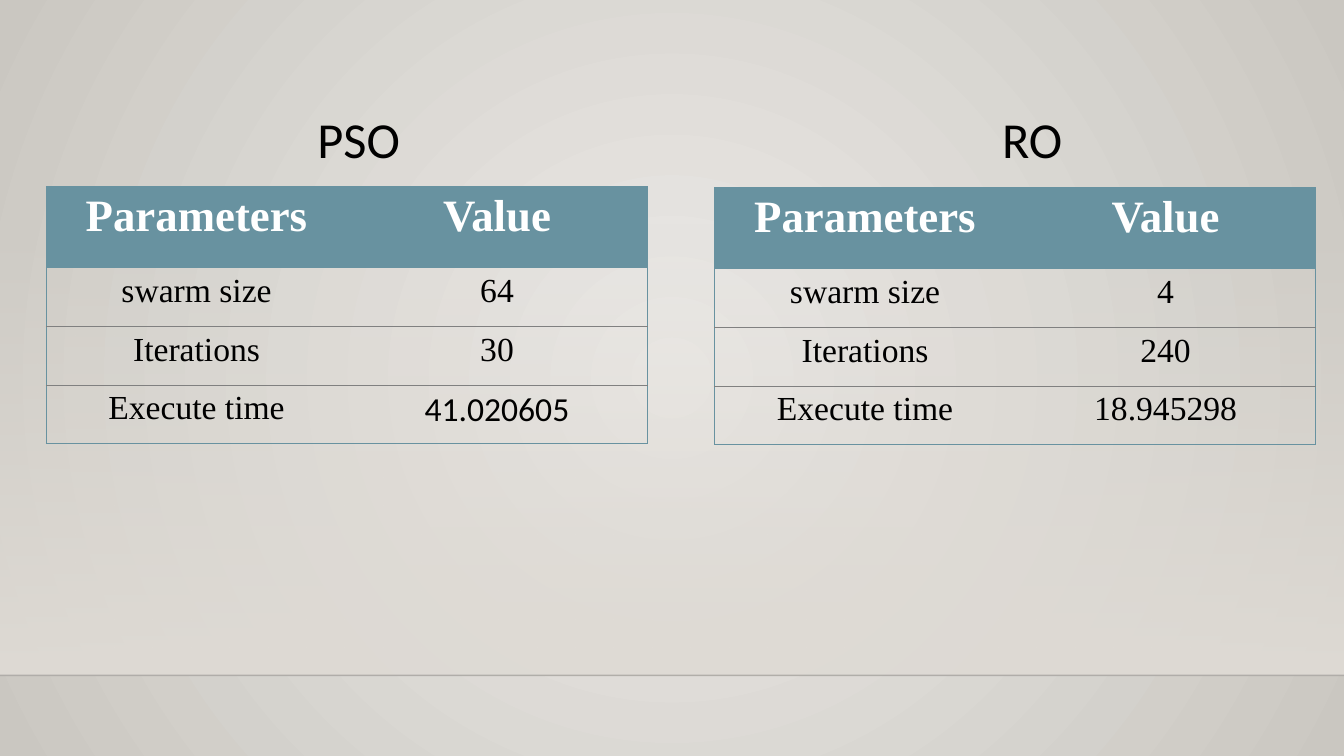
from lxml import etree
from pptx import Presentation
from pptx.dml.color import RGBColor
from pptx.enum.shapes import MSO_CONNECTOR, MSO_SHAPE
from pptx.enum.text import MSO_ANCHOR, MSO_AUTO_SIZE, PP_ALIGN
from pptx.oxml import parse_xml
from pptx.oxml.ns import nsdecls, qn
from pptx.util import Inches, Pt

COLORS = {
    "teal": "6892A0", "rule": "808080", "white": "FFFFFF", "black": "000000",
    "center": "ECEAE7", "edge": "CAC7C1", "wall": "DFDBD5", "floor": "000001",
}
SERIF, SANS = "Times New Roman", "Calibri"
WIDTH, HEIGHT = 13.33, 7.5
FLOOR_Y = 6.7
COL_W = 2.98
ROW_H = [0.8, 0.59, 0.58, 0.58]


def gradient(first, last, shape, alpha=100):
    """Two-stop gradient; alpha is the opacity of the first stop in percent."""
    return (f'<a:gradFill {nsdecls("a")} rotWithShape="1"><a:gsLst>'
            f'<a:gs pos="0"><a:srgbClr val="{COLORS[first]}">'
            f'<a:alpha val="{alpha * 1000}"/></a:srgbClr></a:gs>'
            f'<a:gs pos="100000"><a:srgbClr val="{COLORS[last]}"/></a:gs>'
            f'</a:gsLst>{shape}</a:gradFill>')


def write(tf, text, size, font=SERIF, color="black", bold=False, align=PP_ALIGN.CENTER):
    p = tf.paragraphs[0]
    p.alignment = align
    r = p.add_run()
    r.text = text
    r.font.size, r.font.name, r.font.bold = Pt(size), font, bold
    r.font.color.rgb = RGBColor.from_string(COLORS[color])


def set_borders(cell, **sides):
    """Give each side (L, R, T, B) a colour name, or None for no line."""
    tc_pr = cell._tc.get_or_add_tcPr()
    for i, side in enumerate("LRTB"):
        color = sides.get(side)
        fill = (f'<a:solidFill><a:srgbClr val="{COLORS[color]}"/></a:solidFill>'
                if color else "<a:noFill/>")
        tc_pr.insert(i, parse_xml(
            f'<a:ln{side} {nsdecls("a")} w="{Pt(0.75)}">{fill}</a:ln{side}>'))


def add_backdrop(slide):
    # Radial background
    circle = ('<a:path path="circle">'
              '<a:fillToRect l="50000" t="50000" r="50000" b="50000"/></a:path>')
    slide.background.fill.solid()
    bg_pr = slide.background._cSld.find(qn("p:bg")).find(qn("p:bgPr"))
    bg_pr.replace(bg_pr.find(qn("a:solidFill")),
                  parse_xml(gradient("center", "edge", circle)))

    # Wall fading in towards the floor
    top = 2.21
    sp = slide.shapes.add_shape(MSO_SHAPE.RECTANGLE, 0, Inches(top),
                                Inches(WIDTH), Inches(FLOOR_Y - top))
    sp.shadow.inherit = False
    sp.line.fill.background()
    sp.fill.solid()
    sp_pr = sp._element.spPr
    sp_pr.replace(sp_pr.find(qn("a:solidFill")), parse_xml(
        gradient("wall", "wall", '<a:lin ang="5400000" scaled="0"/>', alpha=0)))

    # Floor line, 20 % opaque
    line = slide.shapes.add_connector(MSO_CONNECTOR.STRAIGHT, 0, Inches(FLOOR_Y),
                                      Inches(WIDTH), Inches(FLOOR_Y))
    line.line.width = Pt(1)
    line.line.color.rgb = RGBColor.from_string(COLORS["floor"])
    sp_pr = line._element.spPr
    clr = next(sp_pr.iter(qn("a:srgbClr")))
    etree.SubElement(clr, qn("a:alpha")).set("val", "20000")
    etree.SubElement(sp_pr, qn("a:effectLst"))


def add_heading(slide, text, x, y, w):
    box = slide.shapes.add_textbox(Inches(x), Inches(y), Inches(w), Inches(0.71))
    tf = box.text_frame
    tf.word_wrap = False
    tf.auto_size = MSO_AUTO_SIZE.SHAPE_TO_FIT_TEXT
    write(tf, text, 36, SANS, align=PP_ALIGN.LEFT)


def add_results(slide, x, y, values, time_font=SERIF):
    labels = ["Parameters", "swarm size", "Iterations", "Execute time"]
    rows = list(zip(labels, ["Value"] + values))
    last = len(rows) - 1
    table = slide.shapes.add_table(len(rows), 2, Inches(x), Inches(y),
                                   Inches(2 * COL_W), Inches(sum(ROW_H))).table
    table.horz_banding = False
    for col in table.columns:
        col.width = Inches(COL_W)
    for i, texts in enumerate(rows):
        table.rows[i].height = Inches(ROW_H[i])
        for j, text in enumerate(texts):
            cell = table.cell(i, j)
            cell.vertical_anchor = MSO_ANCHOR.TOP
            if i == 0:
                cell.fill.solid()
                cell.fill.fore_color.rgb = RGBColor.from_string(COLORS["teal"])
                write(cell.text_frame, text, 32, color="white", bold=True)
            else:
                cell.fill.background()
                font = time_font if (i, j) == (last, 1) else SERIF
                write(cell.text_frame, text, 24, font)
            set_borders(cell,
                        L="teal" if j == 0 else None,
                        R="teal" if j == 1 else None,
                        T="teal" if i <= 1 else "rule",
                        B="teal" if i in (0, last) else "rule")


def main():
    prs = Presentation()
    prs.slide_width, prs.slide_height = Inches(WIDTH), Inches(HEIGHT)
    slide = prs.slides.add_slide(prs.slide_layouts[6])
    add_backdrop(slide)
    add_results(slide, 7.09, 1.86, ["4", "240", "18.945298"])
    add_heading(slide, "RO", 9.84, 1.02, 0.89)
    add_heading(slide, "PSO", 3.05, 1.02, 1.11)
    add_results(slide, 0.46, 1.85, ["64", "30", "41.020605"], time_font=SANS)
    prs.save("out.pptx")


if __name__ == "__main__":
    main()
